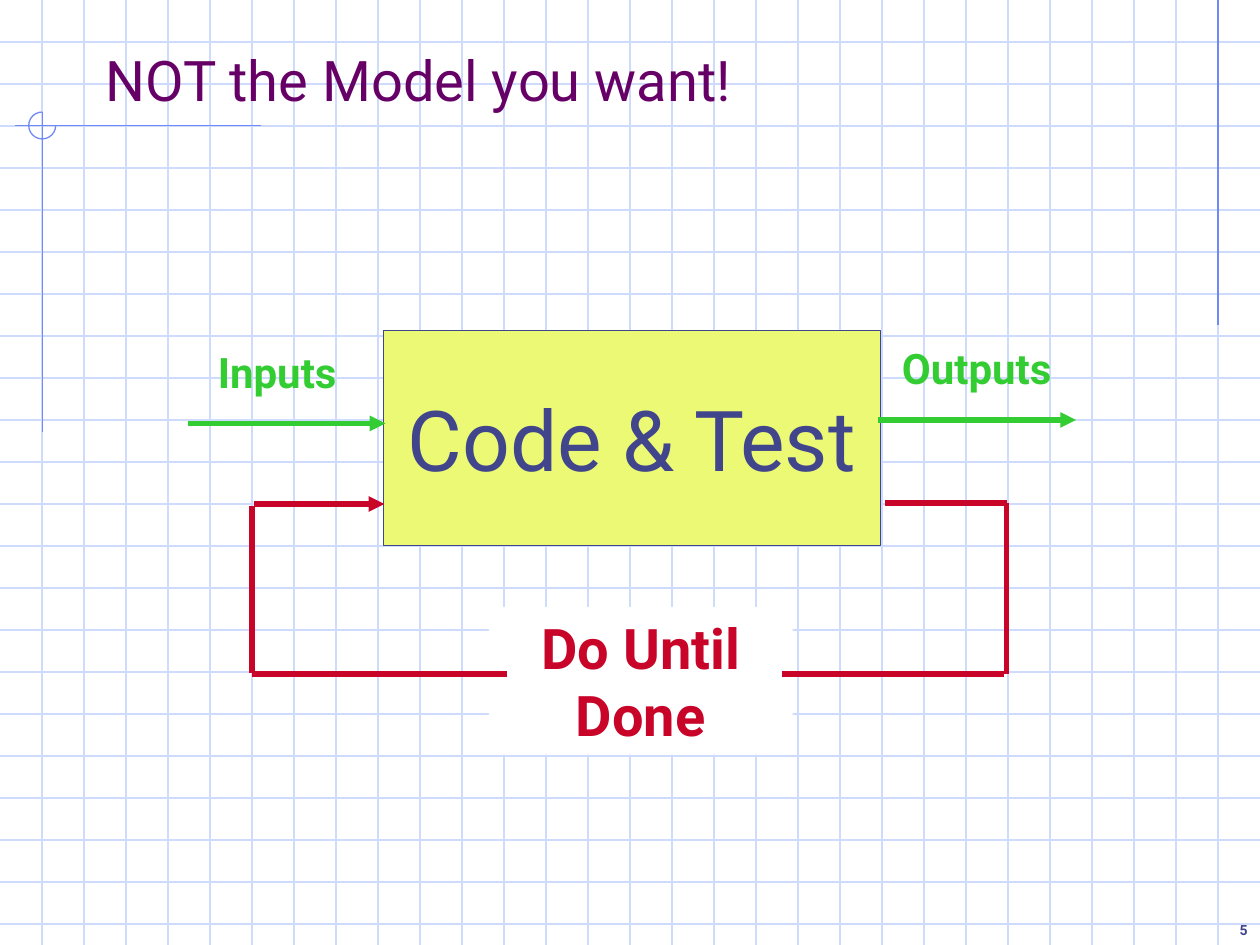
from lxml import etree
from pptx import Presentation
from pptx import util as u
from pptx.dml import color
from pptx.enum import shapes, text
from pptx.oxml import ns

GRID, BLUE, NAVY = "CFDBFD", "6F89F7", "40458C"
GREEN, RED = "33CC33", "C80429"


def rgb(code):
    return color.RGBColor.from_string(code)


def write(shape, words, size=24, ink=NAVY, bold=False, align="LEFT", anchor="TOP", wrap=True, font="Roboto"):
    frame = shape.text_frame
    frame.word_wrap = wrap
    frame.vertical_anchor = getattr(text.MSO_ANCHOR, anchor)
    para = frame.paragraphs[0]
    para.alignment = getattr(text.PP_ALIGN, align)
    run = para.add_run()
    run.text = words
    run.font.name, run.font.size, run.font.bold = font, u.Pt(size), bold
    run.font.color.rgb = rgb(ink)


class Board:
    """Draws styled elements on the current slide, in points."""

    def __init__(self, slide, font="Roboto", thin=0.75, thick=3):
        self.slide, self.font, self.thin, self.thick = slide, font, thin, thick

    def line(self, x1, y1, x2, y2, ink, width=None, arrow=False):
        ends = [u.Pt(v) for v in (x1, y1, x2, y2)]
        link = self.slide.shapes.add_connector(shapes.MSO_CONNECTOR.STRAIGHT, *ends)
        link.line.color.rgb = rgb(ink)
        link.line.width = u.Pt(width or self.thin)
        if arrow:
            etree.SubElement(link.line._ln, ns.qn("a:tailEnd"), type="triangle")
        etree.SubElement(link._element.spPr, ns.qn("a:effectLst"))

    def flow(self, *ends, ink, arrow=False):
        self.line(*ends, ink, self.thick, arrow)

    def shape(self, kind, area, fill=None, edge=None):
        item = self.slide.shapes.add_shape(kind, *[u.Pt(v) for v in area])
        item.shadow.inherit = False
        if fill:
            item.fill.solid()
            item.fill.fore_color.rgb = rgb(fill)
        else:
            item.fill.background()
        if edge:
            item.line.color.rgb = rgb(edge)
            item.line.width = u.Pt(self.thin)
        else:
            item.line.fill.background()
        return item

    def box(self, area, words, fill, edge=None, **form):
        item = self.shape(shapes.MSO_SHAPE.RECTANGLE, area, fill, edge)
        write(item, words, align="CENTER", font=self.font, **form)

    def arc(self, area, edge, start, stop):
        item = self.shape(shapes.MSO_SHAPE.ARC, area, edge=edge)
        for i, angle in enumerate((start, stop)):
            item.adjustments[i] = angle * 0.6

    def label(self, area, words, **form):
        item = self.slide.shapes.add_textbox(*[u.Pt(v) for v in area])
        write(item, words, font=self.font, **form)


def main():
    deck = Presentation()
    wide, high, step = 720, 540, 24
    deck.slide_width, deck.slide_height = u.Pt(wide), u.Pt(high)
    board = Board(deck.slides.add_slide(deck.slide_layouts[6]))

    for y in range(step, high, step):
        board.line(0, y, wide, y, GRID)
    for x in range(step, wide, step):
        board.line(x, 0, x, high, GRID)

    board.line(696, 0, 696, 186, BLUE)
    board.line(149, 71.75, 8.75, 71.75, BLUE)
    board.line(24.2, 64, 24.2, 247, BLUE)
    board.arc((16.4, 64, 15.4, 15.4), BLUE, 0, 270)

    board.label((53.3, 23.8, 612, 43.9), "NOT the Model you want!", size=32, ink="660066", anchor="BOTTOM")
    board.box((219, 188.8, 284, 123), "Code & Test", "ECF975", NAVY, size=48, anchor="MIDDLE", wrap=False)
    board.box((279.4, 346.8, 173.5, 84.4), "Do Until Done", "FFFFFF", size=32, ink=RED, bold=True)
    board.label((117.4, 194.4, 93, 36), "Inputs", ink=GREEN, bold=True, wrap=False)
    board.label((508.3, 192.2, 113, 36), "Outputs", ink=GREEN, bold=True, wrap=False)

    board.flow(107.3, 242, 220.3, 242, ink=GREEN, arrow=True)
    board.flow(501.8, 240, 614.9, 240, ink=GREEN, arrow=True)

    left, right, top, base = 144, 575.3, 287.5, 385.2
    board.flow(506, top, right, top, ink=RED)
    board.flow(right, top, right, base, ink=RED)
    board.flow(574, base, 447, base, ink=RED)
    board.flow(290, base, left, base, ink=RED)
    board.flow(left, 384.5, left, 289, ink=RED)
    board.flow(145, 288, 219.6, 288, ink=RED, arrow=True)

    board.label((686.2, 518.4, 33.8, 21.6), "5", size=8, bold=True, align="RIGHT", anchor="BOTTOM")
    deck.save("out.pptx")


if __name__ == "__main__":
    main()
